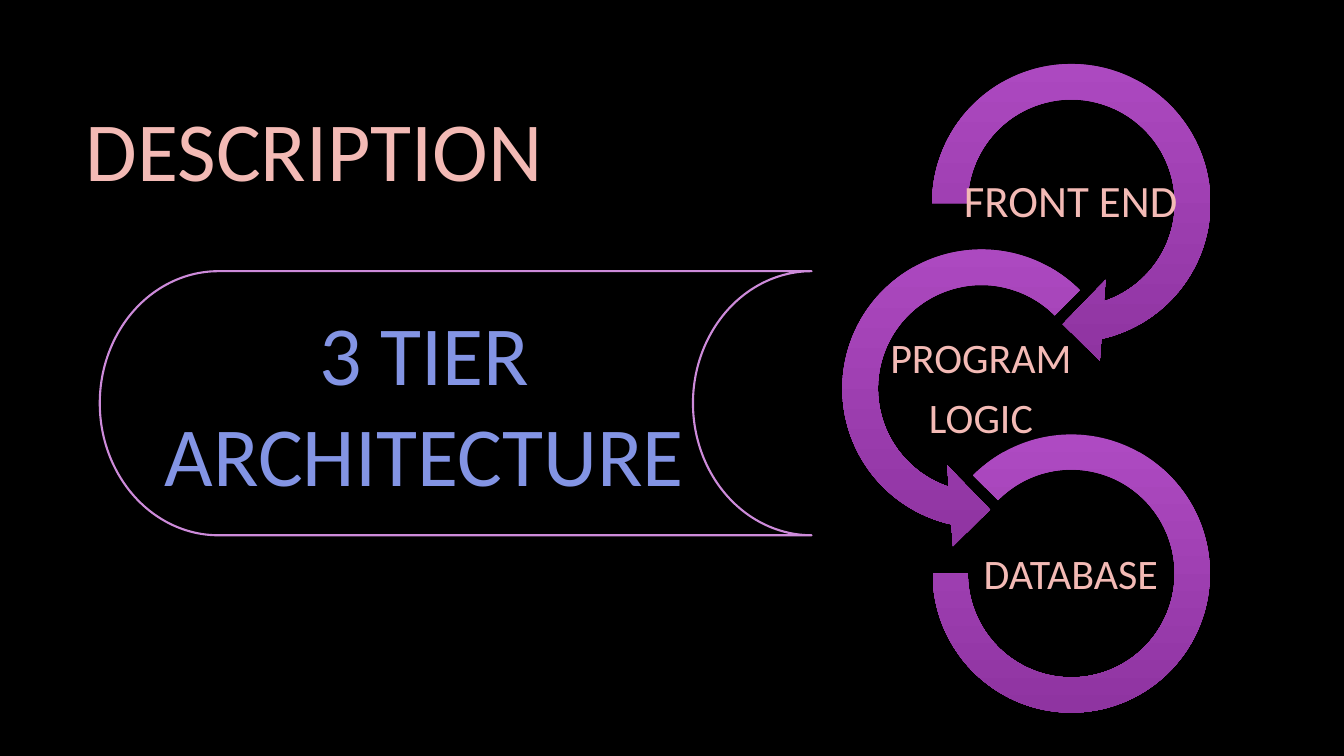
from pptx import Presentation
from pptx.dml.color import RGBColor
from pptx.enum.shapes import MSO_SHAPE as Preset
from pptx.enum.text import MSO_ANCHOR as Anchor, MSO_AUTO_SIZE as AutoSize, PP_ALIGN as Align
from pptx.util import Inches, Pt

BLACK, PINK, BLUE, LILAC = "000000", "F3BAB5", "8394E4", "CD8BDA"
RING_TOP, RING_BOTTOM = "AE4AC2", "8F34A1"
TIER_MARGIN = Inches(0.02)
TIER_FRAME = {
    "vertical_anchor": Anchor.MIDDLE,
    "margin_left": TIER_MARGIN,
    "margin_right": TIER_MARGIN,
    "margin_top": TIER_MARGIN,
    "margin_bottom": TIER_MARGIN,
}
TIER_PARAGRAPH = {"alignment": Align.CENTER, "line_spacing": 0.9}

TIERS = [
    (Preset.CIRCULAR_ARROW, (9.02, 0.41, 3.21, 3.21), (0.11, 11.42, 45, 108, 0.125),
     ["FRONT END"], (9.53, 1.25, 2.18, 1.53), 32),
    (Preset.LEFT_CIRCULAR_ARROW, (8.13, 2.25, 3.21, 3.21), (0.11, 11.42, 63, 189, 0.125),
     ["PROGRAM", "LOGIC"], (8.76, 3.32, 1.94, 1.1), 30),
    (Preset.BLOCK_ARC, (9.25, 4.31, 2.75, 2.76), (135, 108, 0.127),
     ["DATABASE"], (9.73, 5.27, 1.78, 0.89), 30),
]


def color(value):
    return RGBColor.from_string(value)


def apply(target, values):
    for name, value in values.items():
        setattr(target, name, value)


def inches(box):
    return [Inches(length) for length in box]


def write(frame, lines, size, ink, frame_format, paragraph_format):
    apply(frame, {"word_wrap": True, "auto_size": AutoSize.NONE, **frame_format})
    frame.text = "\n".join(lines)
    for paragraph in frame.paragraphs:
        apply(paragraph, paragraph_format)
        apply(paragraph.font, {"name": "Calibri", "size": Pt(size)})
        paragraph.font.color.rgb = color(ink)


def add_heading(slide, wording, box):
    heading = slide.shapes.title
    apply(heading, dict(zip(("left", "top", "width", "height"), inches(box))))
    write(heading.text_frame, [wording], 60, PINK,
          {"vertical_anchor": Anchor.MIDDLE}, {"alignment": Align.LEFT})


def add_label(slide, lines, box, size, ink, frame_format, paragraph_format):
    label = slide.shapes.add_textbox(*inches(box))
    write(label.text_frame, lines, size, ink, frame_format, paragraph_format)


def add_ring(slide, preset, box, adjustments):
    ring = slide.shapes.add_shape(preset, *inches(box))
    ring.shadow.inherit = False
    for index, value in enumerate(adjustments):
        ring.adjustments[index] = value
    ring.fill.gradient()
    ring.fill.gradient_angle = 270
    for stop, shade in zip(ring.fill.gradient_stops, (RING_TOP, RING_BOTTOM)):
        stop.color.rgb = color(shade)
    ring.line.fill.background()


def add_outline(slide, preset, box):
    outline = slide.shapes.add_shape(preset, *inches(box))
    outline.shadow.inherit = False
    outline.fill.background()
    outline.line.color.rgb = color(LILAC)
    outline.line.width = Pt(1.5)


def main():
    deck = Presentation()
    apply(deck, {"slide_width": Inches(13.33), "slide_height": Inches(7.5)})
    slide = deck.slides.add_slide(deck.slide_layouts[5])
    slide.background.fill.solid()
    slide.background.fill.fore_color.rgb = color(BLACK)

    add_heading(slide, "DESCRIPTION", (0.75, 0.67, 11.08, 1.59))
    for preset, ring_box, adjustments, lines, label_box, size in TIERS:
        add_ring(slide, preset, ring_box, adjustments)
        add_label(slide, lines, label_box, size, PINK, TIER_FRAME,
                  {**TIER_PARAGRAPH, "space_after": Pt(round(size * 0.35, 1))})
    add_label(slide, ["3 TIER ARCHITECTURE"], (1.23, 2.94, 5.96, 2.12), 60, BLUE,
              {}, {"alignment": Align.CENTER})
    add_outline(slide, Preset.FLOWCHART_STORED_DATA, (0.99, 2.69, 7.06, 2.62))
    deck.save("out.pptx")


if __name__ == "__main__":
    main()
